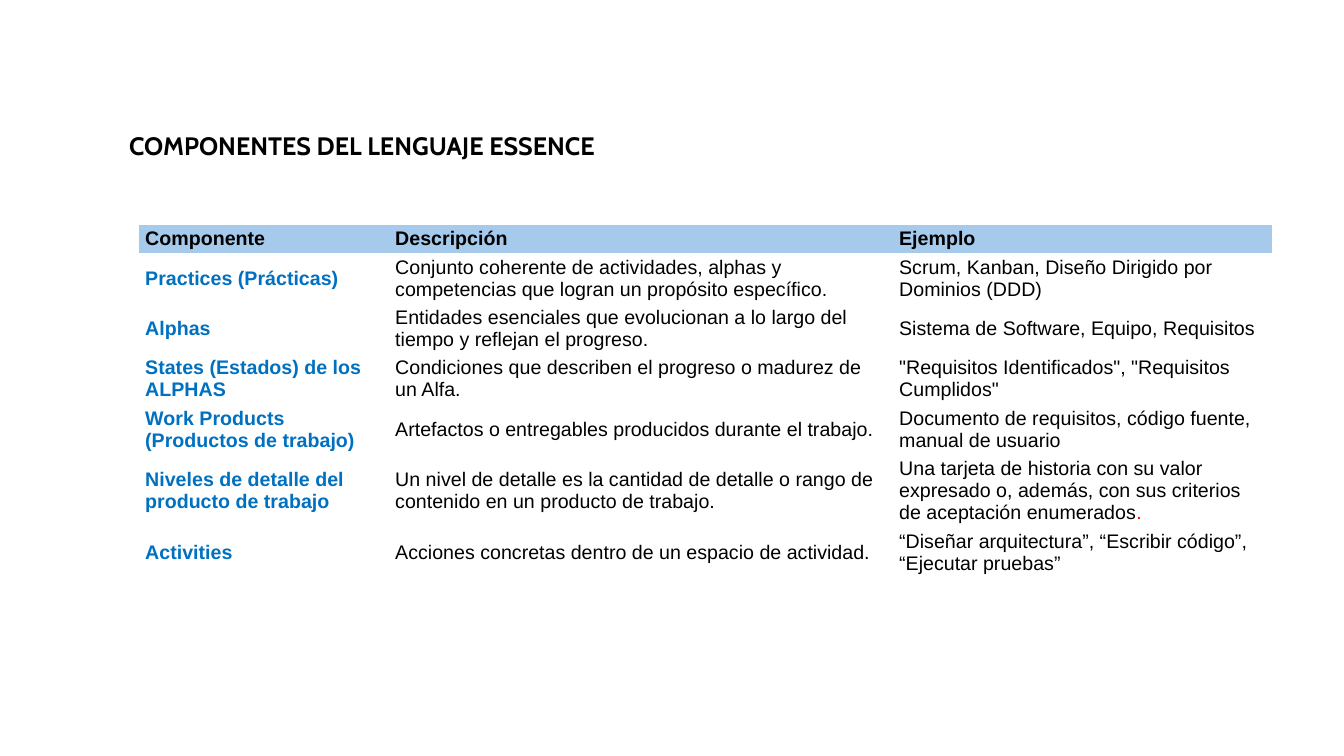
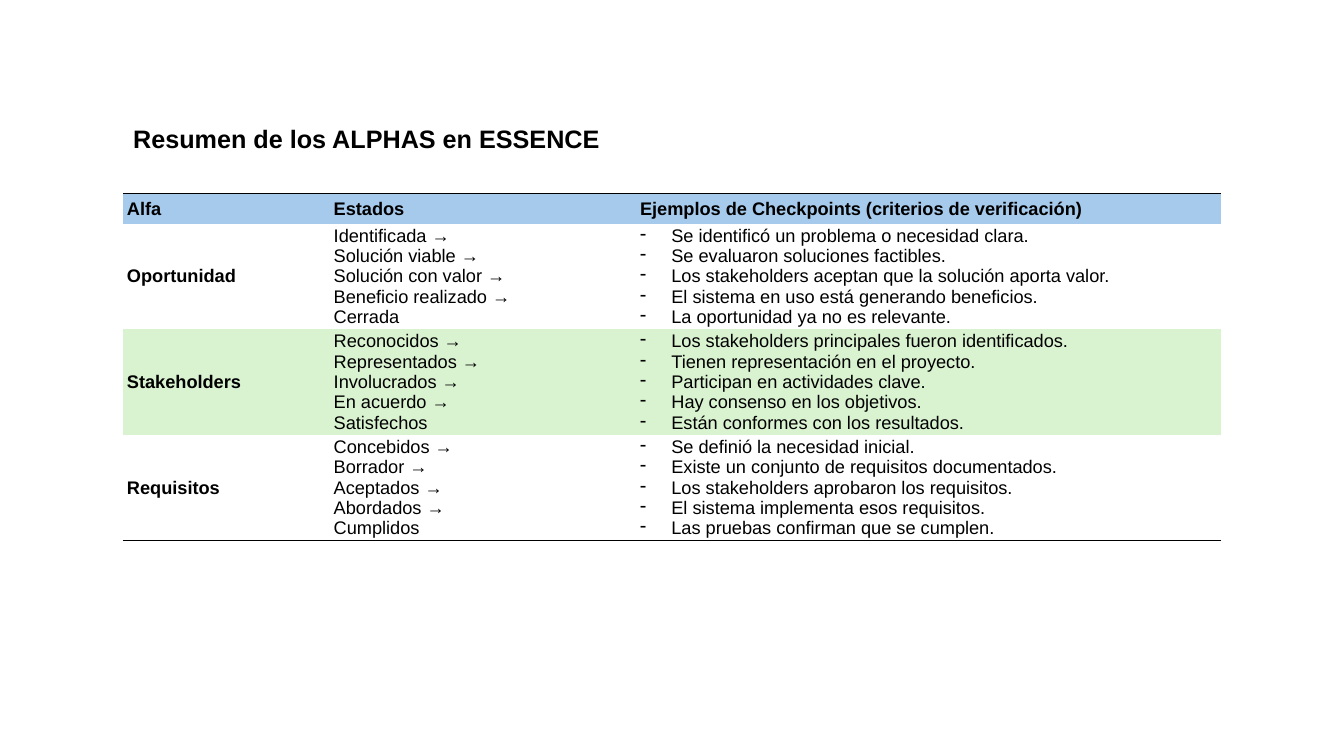
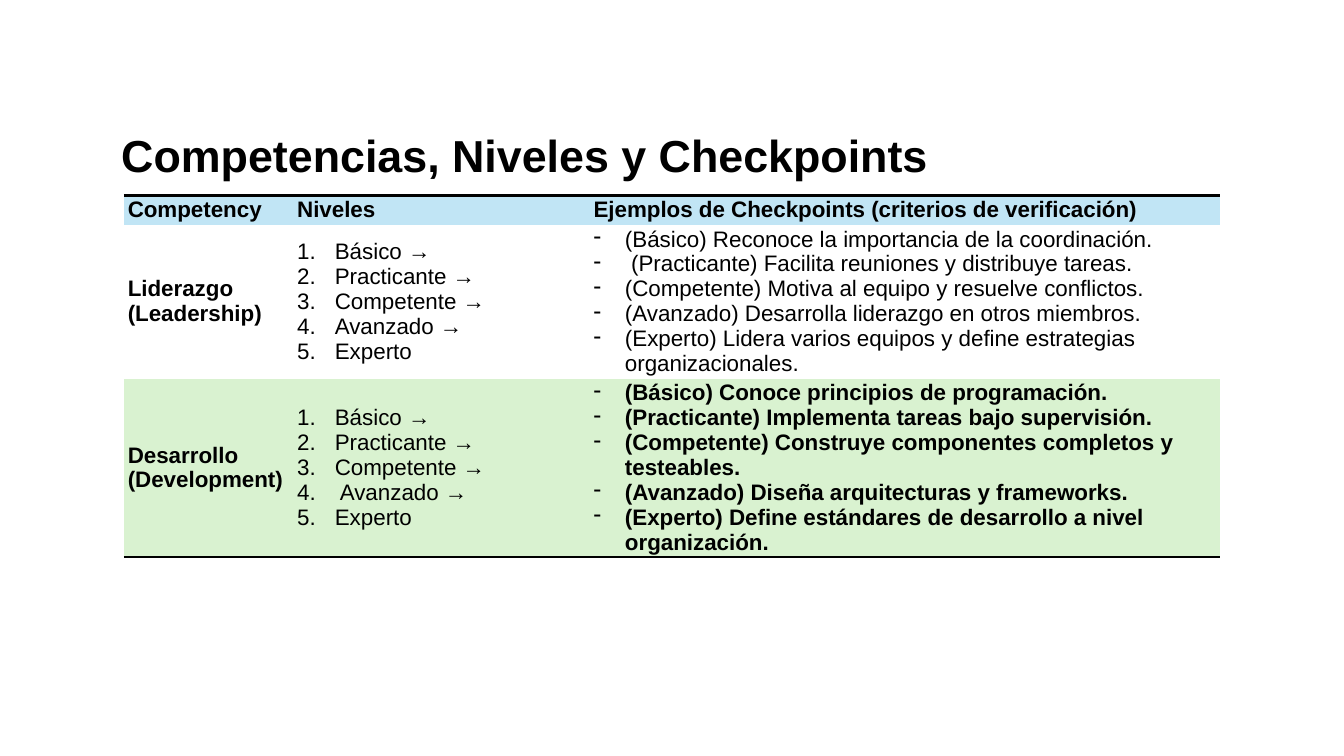
from lxml import etree
from pptx import Presentation
from pptx.dml.color import RGBColor
from pptx.enum.text import MSO_ANCHOR, MSO_AUTO_SIZE, PP_ALIGN
from pptx.oxml.ns import qn
from pptx.util import Cm, Pt

MIDDLE = MSO_ANCHOR.MIDDLE
NO_AUTOFIT = MSO_AUTO_SIZE.NONE
LEFT = PP_ALIGN.LEFT

BLACK = RGBColor(0x00, 0x00, 0x00)
WHITE = RGBColor(0xFF, 0xFF, 0xFF)
RED = RGBColor(0xFF, 0x00, 0x00)
BLUE = RGBColor(0x00, 0x70, 0xC0)
HEADER_BLUE = RGBColor(0xA6, 0xCA, 0xEC)
PALE_BLUE = RGBColor(0xC1, 0xE5, 0xF5)
PALE_GREEN = RGBColor(0xD9, 0xF2, 0xD0)

TITLE_ONLY = 5
NO_STYLE_NO_GRID = "{2D5ABB26-0587-4C30-8999-92F81FD0307C}"

# Bullet kinds: tag, attributes, hanging indent
DASH = ("a:buChar", {"char": "-"}, Cm(0.79))
NUMBER = ("a:buAutoNum", {"type": "arabicPeriod"}, Cm(0.95))


def write(frame, text, size, font="Arial", color=BLACK, bold=False, bullet=None):
    """Fill a frame; a list gives paragraphs, a tuple gives (text, color) runs."""
    lines = text if isinstance(text, list) else [text]
    for number, line in enumerate(lines):
        paragraph = frame.add_paragraph() if number else frame.paragraphs[0]
        paragraph.alignment = LEFT
        if bullet:
            tag, attributes, indent = bullet
            properties = paragraph._p.get_or_add_pPr()
            properties.set("marL", str(indent))
            properties.set("indent", str(-indent))
            etree.SubElement(properties, qn(tag), attributes)
        pieces = line if isinstance(line, tuple) else ((line, color),)
        for words, ink in pieces:
            run = paragraph.add_run()
            run.text = words
            run.font.name = font
            run.font.size = Pt(size)
            run.font.bold = bold
            run.font.color.rgb = ink


def rule_cell(cell, side, width):
    """Draw a black border on one side of a cell (lnT or lnB)."""
    properties = cell._tc.get_or_add_tcPr()
    line = etree.Element(qn("a:" + side), {"w": str(Pt(width))})
    fill = etree.SubElement(line, qn("a:solidFill"))
    etree.SubElement(fill, qn("a:srgbClr"), {"val": str(BLACK)})
    properties.insert(0, line)


class Deck:
    def __init__(self):
        self.presentation = Presentation()
        self.presentation.slide_width = Cm(33.87)
        self.presentation.slide_height = Cm(19.05)
        self.slide = None

    def new_slide(self, title, left, top, width, height, size=18, font="Arial"):
        layout = self.presentation.slide_layouts[TITLE_ONLY]
        self.slide = self.presentation.slides.add_slide(layout)
        heading = self.slide.shapes.title
        heading.left, heading.top = Cm(left), Cm(top)
        heading.width, heading.height = Cm(width), Cm(height)
        frame = heading.text_frame
        frame.auto_size = NO_AUTOFIT
        frame.vertical_anchor = MIDDLE
        write(frame, title, size, font, bold=True)

    def table(self, left, top, columns, heights, rows, size, fills,
              margins, formats, rule=None):
        """Draw rows; formats holds the text format of each body column."""
        grid = self.slide.shapes.add_table(
            len(rows), len(columns), Cm(left), Cm(top),
            Cm(sum(columns)), Cm(sum(heights))).table
        grid.first_row = grid.horz_banding = False
        grid._tbl.tblPr.find(qn("a:tableStyleId")).text = NO_STYLE_NO_GRID
        for column, width in zip(grid.columns, columns):
            column.width = Cm(width)
        for r, (height, fill) in enumerate(zip(heights, fills)):
            grid.rows[r].height = Cm(height)
            for c, content in enumerate(rows[r]):
                style = formats[c] if r else {"bold": True}
                if isinstance(content, dict):
                    style = {**style, **content["format"]}
                    content = content["text"]
                self.cell(grid.cell(r, c), content, size, fill, margins, style)
                if rule and r == 0:
                    rule_cell(grid.cell(r, c), "lnT", rule)
                if rule and r == len(rows) - 1:
                    rule_cell(grid.cell(r, c), "lnB", rule)

    def cell(self, cell, content, size, fill, margins, style):
        side, edge = margins
        cell.margin_left = cell.margin_right = Cm(side)
        cell.margin_top = cell.margin_bottom = Cm(edge)
        cell.vertical_anchor = MIDDLE
        if fill is None:
            cell.fill.background()
        else:
            cell.fill.solid()
            cell.fill.fore_color.rgb = fill
        write(cell.text_frame, content, size, **style)


def steps(*names):
    """Progression of states: an arrow after each one but the last."""
    return [name + " →" for name in names[:-1]] + [names[-1]]


def components(deck):
    deck.new_slide("COMPONENTES DEL LENGUAJE ESSENCE", 3, 3.15, 16.94, 1.02,
                   font="Cabin")
    rows = [
        ("Componente", "Descripción", "Ejemplo"),
        ("Practices (Prácticas)",
         "Conjunto coherente de actividades, alphas y competencias que logran "
         "un propósito específico.",
         "Scrum, Kanban, Diseño Dirigido por Dominios (DDD)"),
        ("Alphas",
         "Entidades esenciales que evolucionan a lo largo del tiempo y "
         "reflejan el progreso.",
         "Sistema de Software, Equipo, Requisitos"),
        ("States (Estados) de los ALPHAS",
         "Condiciones que describen el progreso o madurez de un Alfa.",
         '"Requisitos Identificados", "Requisitos Cumplidos"'),
        ("Work Products (Productos de trabajo)",
         "Artefactos o entregables producidos durante el trabajo.",
         "Documento de requisitos, código fuente, manual de usuario"),
        ("Niveles de detalle del producto de trabajo",
         "Un nivel de detalle es la cantidad de detalle o rango de contenido "
         "en un producto de trabajo.",
         (("Una tarjeta de historia con su valor expresado o, además, con sus "
           "criterios de aceptación enumerados", BLACK), (".", RED))),
        ("Activities",
         "Acciones concretas dentro de un espacio de actividad.",
         "“Diseñar arquitectura”, “Escribir código”, “Ejecutar pruebas”"),
    ]
    deck.table(3.51, 5.66, [6.3, 12.7, 9.55],
               [0.71, 1.25, 1.25, 1.25, 1.25, 1.8, 1.25], rows, 14,
               [HEADER_BLUE] + [None] * 6, (0.15, 0.08),
               [{"bold": True, "color": BLUE}, {}, {}])


def alphas(deck):
    deck.new_slide("Resumen de los ALPHAS en ESSENCE", 3.1, 2.97, 16.94, 1.02)
    rows = [
        ("Alfa", "Estados", "Ejemplos de Checkpoints (criterios de verificación)"),
        ("Oportunidad",
         steps("Identificada", "Solución viable", "Solución con valor",
               "Beneficio realizado", "Cerrada"),
         ["Se identificó un problema o necesidad clara.",
          "Se evaluaron soluciones factibles.",
          "Los stakeholders aceptan que la solución aporta valor.",
          "El sistema en uso está generando beneficios.",
          "La oportunidad ya no es relevante."]),
        ("Stakeholders",
         steps("Reconocidos", "Representados", "Involucrados", "En acuerdo",
               "Satisfechos"),
         ["Los stakeholders principales fueron identificados.",
          "Tienen representación en el proyecto.",
          "Participan en actividades clave.",
          "Hay consenso en los objetivos.",
          "Están conformes con los resultados."]),
        ("Requisitos",
         steps("Concebidos", "Borrador", "Aceptados", "Abordados", "Cumplidos"),
         ["Se definió la necesidad inicial.",
          "Existe un conjunto de requisitos documentados.",
          "Los stakeholders aprobaron los requisitos.",
          "El sistema implementa esos requisitos.",
          "Las pruebas confirman que se cumplen."]),
    ]
    deck.table(3.1, 4.88, [5.21, 7.72, 14.73], [0.76, 2.66, 2.66, 2.66], rows, 13,
               [HEADER_BLUE, None, PALE_GREEN, None], (0.1, 0.05),
               [{"bold": True}, {}, {"bullet": DASH}], rule=1)


def competencies(deck):
    deck.new_slide("Competencias, Niveles y Checkpoints", 2.8, 3.07, 21.87, 1.63,
                   size=32)
    rows = [
        ("Competency", "Niveles",
         "Ejemplos de Checkpoints (criterios de verificación)"),
        ("Liderazgo (Leadership)",
         steps("Básico", "Practicante", "Competente", "Avanzado", "Experto"),
         ["(Básico) Reconoce la importancia de la coordinación.",
          " (Practicante) Facilita reuniones y distribuye tareas.",
          "(Competente) Motiva al equipo y resuelve conflictos.",
          "(Avanzado) Desarrolla liderazgo en otros miembros.",
          "(Experto) Lidera varios equipos y define estrategias organizacionales."]),
        ("Desarrollo (Development)",
         steps("Básico", "Practicante", "Competente", " Avanzado", "Experto"),
         {"format": {"bold": True},
          "text": [
              "(Básico) Conoce principios de programación.",
              "(Practicante) Implementa tareas bajo supervisión.",
              "(Competente) Construye componentes completos y testeables.",
              "(Avanzado) Diseña arquitecturas y frameworks.",
              "(Experto) Define estándares de desarrollo a nivel organización."]}),
    ]
    deck.table(3.12, 4.93, [4.27, 7.47, 15.88], [0.72, 3.88, 4.5], rows, 16,
               [PALE_BLUE, WHITE, PALE_GREEN], (0.1, 0.05),
               [{"bold": True}, {"bullet": NUMBER}, {"bullet": DASH}], rule=2)


def main():
    deck = Deck()
    components(deck)
    alphas(deck)
    competencies(deck)
    deck.presentation.save("out.pptx")


if __name__ == "__main__":
    main()
